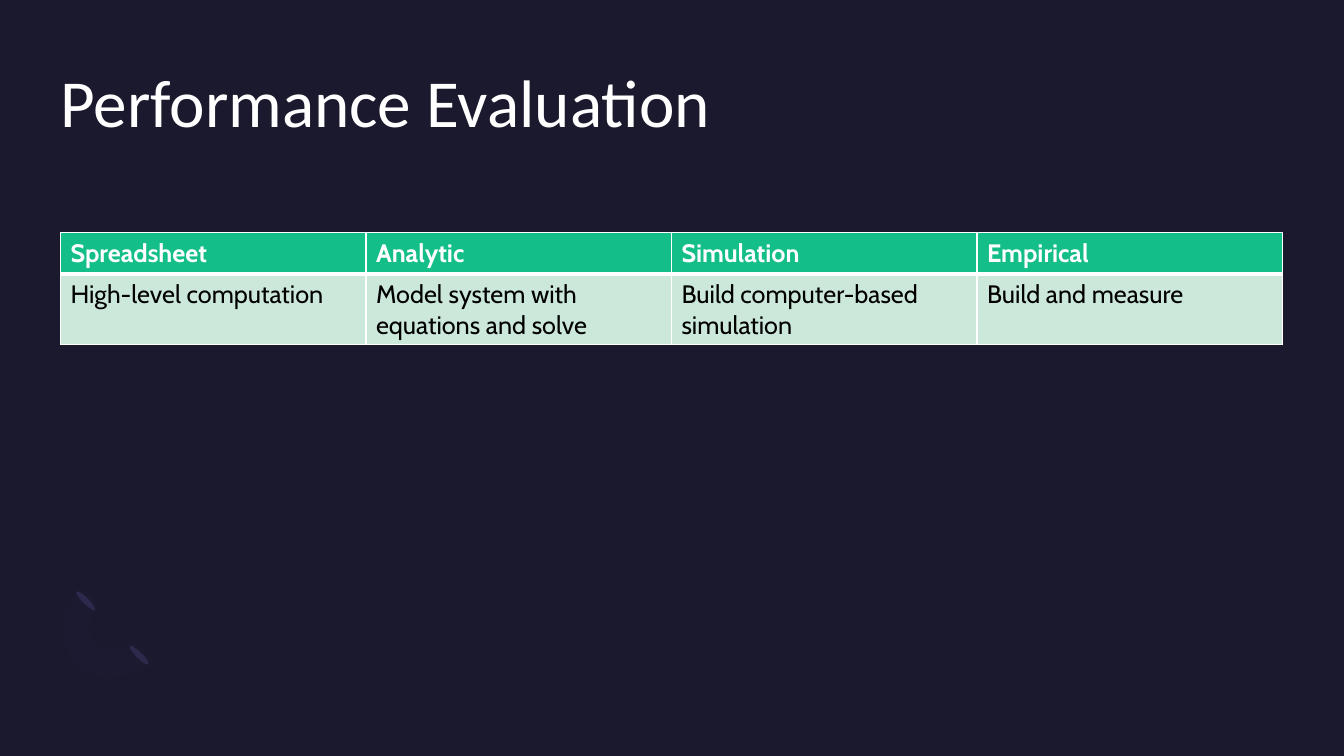
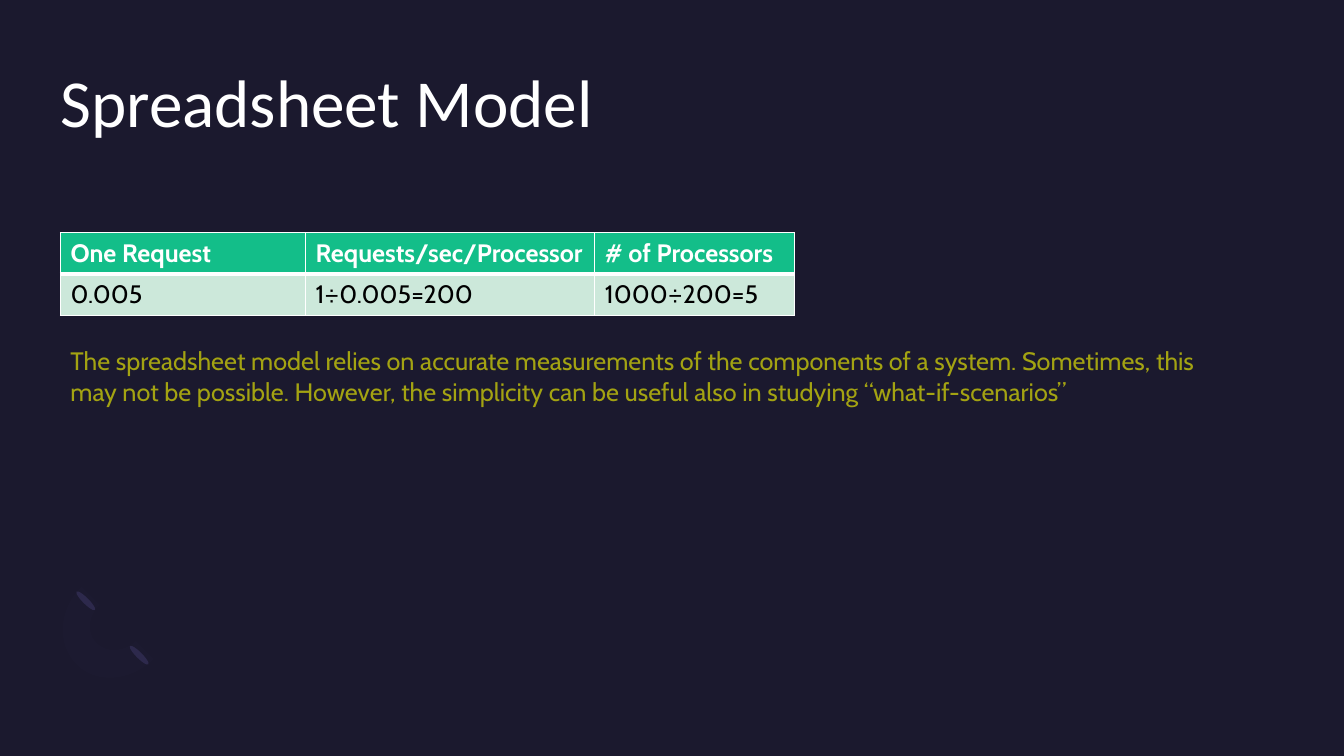
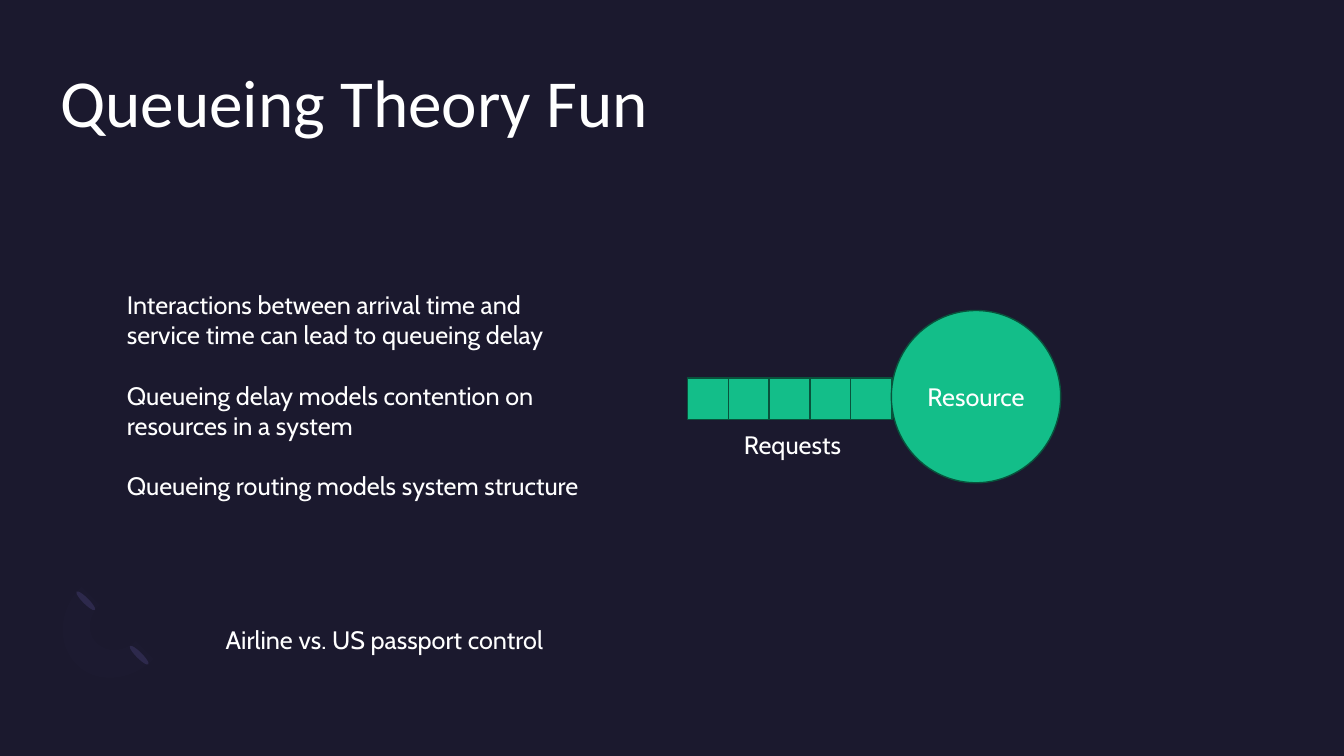
from lxml.etree import SubElement
from pptx import Presentation
from pptx.dml.color import RGBColor
from pptx.enum.shapes import MSO_SHAPE as SHAPE
from pptx.enum.text import MSO_ANCHOR as ANCHOR, PP_ALIGN as ALIGN
from pptx.oxml.ns import qn
from pptx.util import Inches, Pt

NIGHT = RGBColor(0x1B, 0x19, 0x2E)
INDIGO = RGBColor(0x2C, 0x28, 0x4A)
LILAC = RGBColor(0x77, 0x71, 0xB2)
GREEN = RGBColor(0x13, 0xBE, 0x89)
DARK_GREEN = RGBColor(0x08, 0x53, 0x3C)
PALE_GREEN = RGBColor(0xCC, 0xE8, 0xDA)
WHITE = RGBColor(0xFF, 0xFF, 0xFF)
BLACK = RGBColor(0, 0, 0)
YELLOW = RGBColor(0xFF, 0xFF, 0)

TITLE_FONT, BODY_FONT = "Calibri", "Cabin"
MARGIN = 0.6
ROW_H = 0.41
TABLE_TOP = 2.31
ARC_START = (0.2, 0.77)
ARC_PARTS = [
    [(0, 0.57), (0.02, 0.23), (0.25, 0)],
    [(0.43, 0.18)],
    [(0.31, 0.29), (0.3, 0.47), (0.4, 0.56)],
    [(0.5, 0.66), (0.67, 0.65), (0.79, 0.54)],
    [(0.96, 0.72)],
    [(0.74, 0.94), (0.39, 0.97), (0.2, 0.77)],
]


def set_alpha(parent, percent):
    clr = next(parent.iter(qn("a:srgbClr")))
    SubElement(clr, qn("a:alpha")).set("val", str(percent * 1000))


def write(tf, *texts, size=18, font=BODY_FONT, color=WHITE, bold=False,
          align=ALIGN.LEFT, gap=0, alpha=None):
    for i, text in enumerate(texts):
        p = tf.add_paragraph() if i else tf.paragraphs[0]
        p.text = text
        p.alignment = align
        if i and gap:
            p.space_before = Pt(gap)
        for r in p.runs:
            r.font.size = Pt(size)
            r.font.name = font
            r.font.bold = bold
            r.font.color.rgb = color
            if alpha is not None:
                set_alpha(r.font.fill._xPr, alpha)


def add_text(shapes, box, *texts, wrap=True, inset=True, **style):
    tf = shapes.add_textbox(*map(Inches, box)).text_frame
    tf.word_wrap = wrap
    if not inset:
        tf.margin_left = tf.margin_top = tf.margin_right = tf.margin_bottom = 0
    write(tf, *texts, **style)


def paint(sp, fill, line=None):
    sp.shadow.inherit = False
    sp.fill.solid()
    sp.fill.fore_color.rgb = fill
    if line is None:
        sp.line.fill.background()
    else:
        sp.line.color.rgb = line
        sp.line.width = Pt(1)


def add_preset(shapes, kind, box, fill, line=None):
    sp = shapes.add_shape(kind, *map(Inches, box))
    paint(sp, fill, line)
    return sp


def curve(points, steps=12):
    a, b, c, d = points
    for i in range(1, steps + 1):
        t = i / steps
        u = 1 - t
        yield tuple(u**3 * a[k] + 3 * u * u * t * b[k] + 3 * u * t * t * c[k] + t**3 * d[k]
                    for k in (0, 1))


def add_ornament(slide, x, y):
    shapes = slide.shapes.add_group_shape().shapes
    for dx, dy in ((0.79, 0.55), (0.26, 0.01)):
        sp = add_preset(shapes, SHAPE.OVAL, (x + dx, y + dy, 0.06, 0.26), INDIGO)
        sp.rotation = 135
    outline = [ARC_START]
    for part in ARC_PARTS:
        outline += part if len(part) == 1 else curve([outline[-1], *part])
    points = [(Inches(x + px), Inches(y + py)) for px, py in outline]
    builder = shapes.build_freeform(*points[0])
    builder.add_line_segments(points[1:], close=True)
    sp = builder.convert_to_shape()
    paint(sp, LILAC)
    set_alpha(sp._element.spPr, 2)


def add_slide(prs, title):
    slide = prs.slides.add_slide(prs.slide_layouts[6])
    add_ornament(slide, 0.56, 5.82)
    add_text(slide.shapes, (MARGIN, 0.6, 12.13, 1.46), title,
             inset=False, size=48, font=TITLE_FONT)
    return slide


def set_borders(cell, bottom):
    tc_pr = cell._tc.get_or_add_tcPr()
    for i, (side, width) in enumerate((("L", 1), ("R", 1), ("T", 1), ("B", bottom))):
        ln = tc_pr.makeelement(qn(f"a:ln{side}"), {"w": str(Pt(width))})
        fill = SubElement(ln, qn("a:solidFill"))
        SubElement(fill, qn("a:srgbClr")).set("val", str(WHITE))
        tc_pr.insert(i, ln)


def add_grid(slide, x, y, widths, rows):
    table = slide.shapes.add_table(
        len(rows), len(widths), Inches(x), Inches(y),
        Inches(sum(widths)), Inches(ROW_H * len(rows))).table
    for col, width in zip(table.columns, widths):
        col.width = Inches(width)
    for i, row in enumerate(rows):
        head = i == 0
        table.rows[i].height = Inches(ROW_H)
        for j, text in enumerate(row):
            cell = table.cell(i, j)
            cell.fill.solid()
            cell.fill.fore_color.rgb = GREEN if head else PALE_GREEN
            set_borders(cell, 3 if head or len(rows) == 1 else 1)
            write(cell.text_frame, text, bold=head, color=WHITE if head else BLACK)


def add_queue(slide, x, y, slots=5, pitch=0.404):
    shapes = slide.shapes.add_group_shape().shapes
    for i in range(slots):
        add_preset(shapes, SHAPE.RECTANGLE, (x + i * pitch, y + 0.67, 0.41, 0.41),
                   GREEN, DARK_GREEN)
    sp = add_preset(shapes, SHAPE.OVAL, (x + slots * pitch, y, 1.68, 1.71),
                    GREEN, DARK_GREEN)
    sp.text_frame.vertical_anchor = ANCHOR.MIDDLE
    write(sp.text_frame, "Resource", align=ALIGN.CENTER)
    add_text(shapes, (x + 0.46, y + 1.13, 1.17, 0.4), "Requests", wrap=False)


def evaluation_slide(prs):
    slide = add_slide(prs, "Performance Evaluation")
    add_grid(slide, MARGIN, TABLE_TOP, [3.03] * 4, [
        ("Spreadsheet", "Analytic", "Simulation", "Empirical"),
        ("High-level computation", "Model system with equations and solve",
         "Build computer-based simulation", "Build and measure"),
    ])


def spreadsheet_slide(prs):
    slide = add_slide(prs, "Spreadsheet Model")
    add_grid(slide, MARGIN, TABLE_TOP, [2.43, 2.87, 1.98], [
        ("One Request", "Requests/sec/Processor", "# of Processors"),
        ("0.005", "1÷0.005=200", "1000÷200=5"),
    ])
    add_text(slide.shapes, (MARGIN, 3.38, 11.59, 0.71),
             "The spreadsheet model relies on accurate measurements of the components "
             "of a system. Sometimes, this may not be possible. However, the simplicity "
             "can be useful also in studying “what-if-scenarios”",
             color=YELLOW, alpha=60)


def queueing_slide(prs):
    slide = add_slide(prs, "Queueing Theory Fun")
    add_queue(slide, 6.82, 3.08)
    add_text(slide.shapes, (1.16, 2.82, 4.69, 2.22),
             "Interactions between arrival time and\vservice time can lead to queueing delay",
             "Queueing delay models contention on\vresources in a system",
             "Queueing routing models system structure",
             wrap=False, gap=21.6)
    add_text(slide.shapes, (2.14, 6.14, 3.36, 0.4),
             "Airline vs. US passport control", wrap=False)


def main():
    prs = Presentation()
    prs.slide_width, prs.slide_height = Inches(13.33), Inches(7.5)
    background = prs.slide_master.background.fill
    background.solid()
    background.fore_color.rgb = NIGHT
    evaluation_slide(prs)
    spreadsheet_slide(prs)
    queueing_slide(prs)
    prs.save("out.pptx")


if __name__ == "__main__":
    main()
